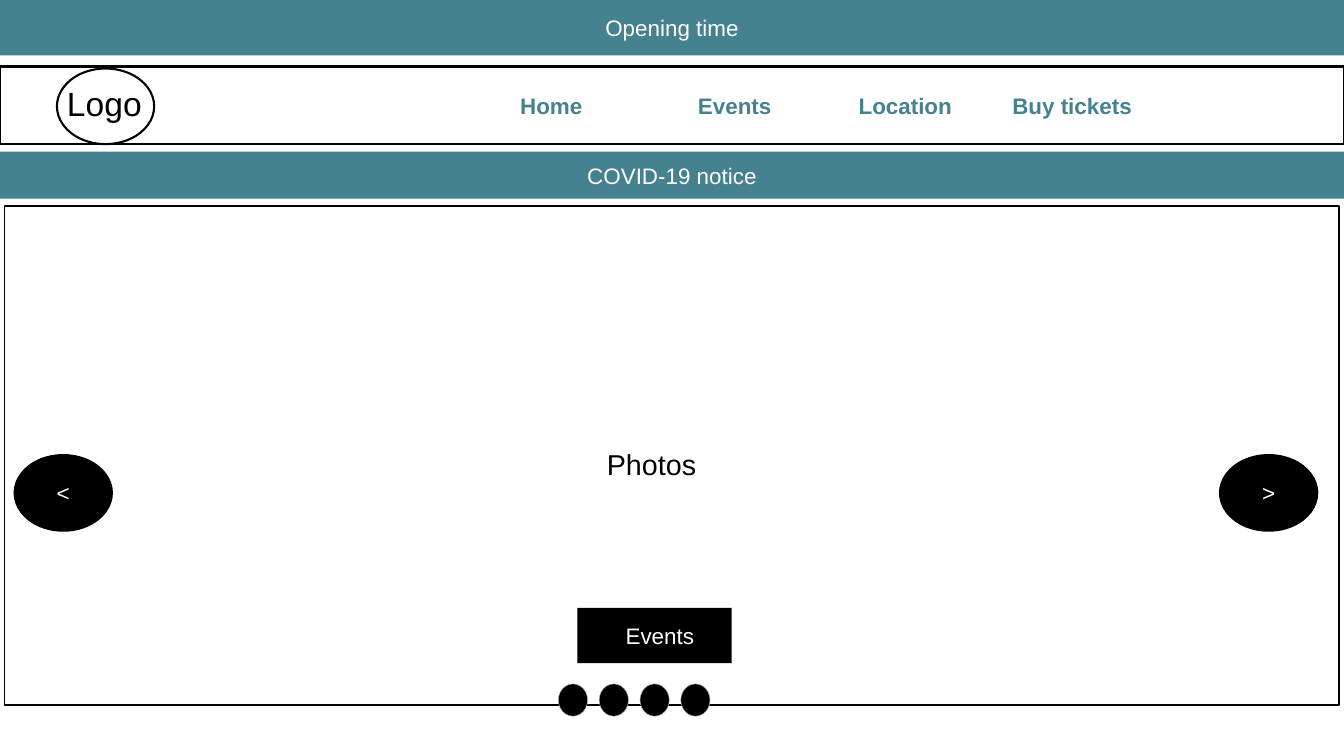
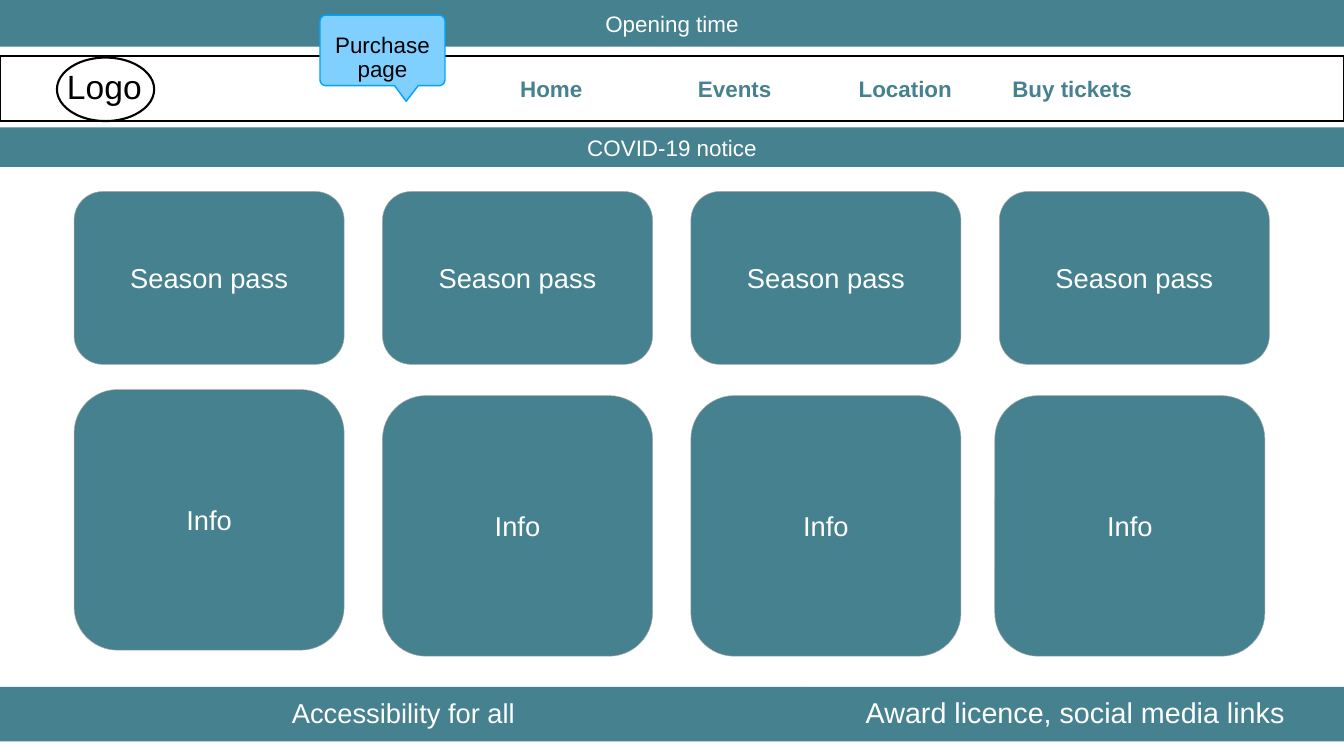
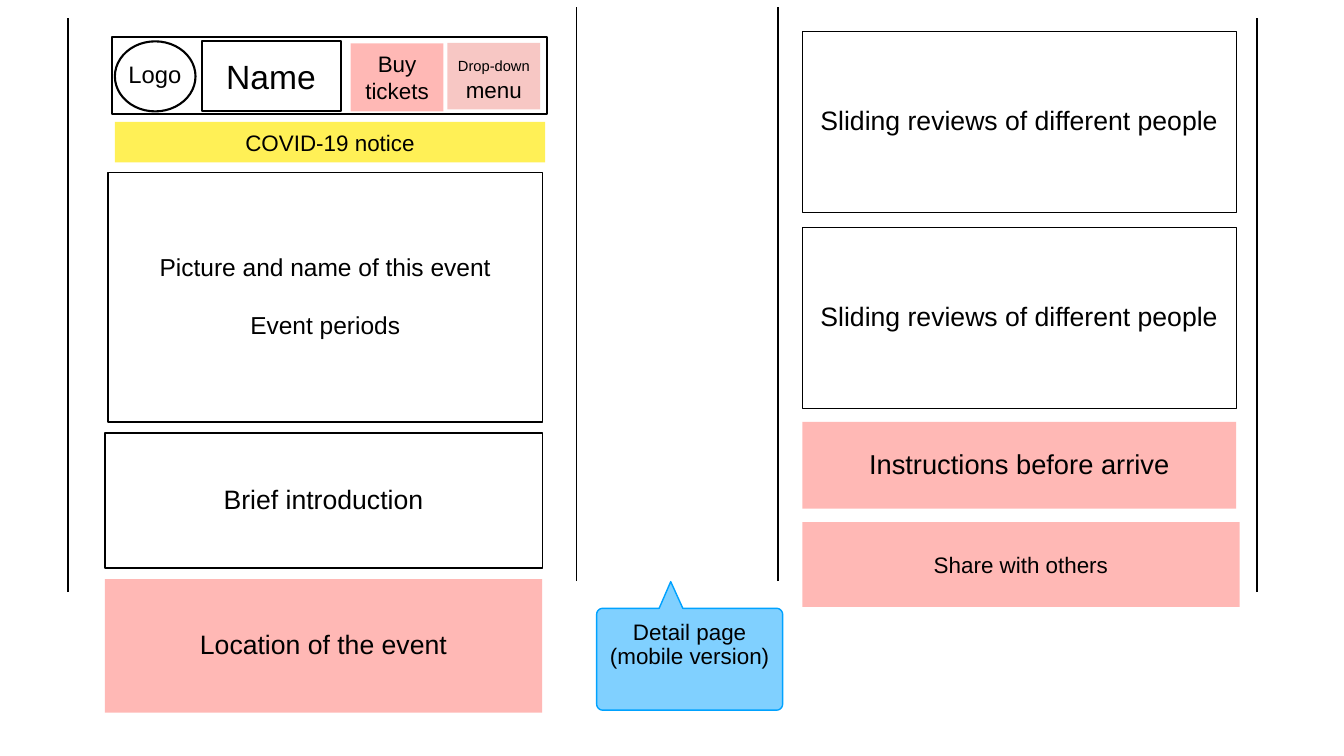
from dataclasses import dataclass
from math import cos, pi, sin

from lxml.etree import SubElement
from pptx import Presentation
from pptx.dml.color import RGBColor
from pptx.enum.shapes import MSO_CONNECTOR as Connector, MSO_SHAPE as Preset
from pptx.enum.text import MSO_ANCHOR as Anchor, PP_ALIGN as Align
from pptx.oxml.ns import qn
from pptx.shapes.autoshape import Shape
from pptx.slide import Slide
from pptx.text.text import TextFrame
from pptx.util import Inches, Pt


@dataclass(frozen=True)
class Theme:
    font: str = "Arial"
    black: str = "000000"
    white: str = "FFFFFF"
    teal: str = "45818E"
    grey: str = "A7A7A7"
    coral: str = "FF7E79"
    rose: str = "EF837E"
    yellow: str = "FFF056"
    sky: str = "80D0FF"
    blue: str = "00A2FF"
    tiny: float = 21
    body: float = 32
    small_logo: float = 34
    event: float = 35
    panel: float = 38
    card: float = 39
    large: float = 41
    logo: float = 48


THEME = Theme()
WIDTH, HEIGHT = 26.67, 15
Run = tuple[str, float]


@dataclass(frozen=True)
class Block:
    left: float
    top: float
    width: float
    height: float
    text: str = ""
    size: float = THEME.body
    color: str = THEME.black
    fill: str | None = None
    alpha: int = 100
    line: str | None = None
    weight: float = 2
    preset: Preset = Preset.RECTANGLE
    bold: bool = False
    spacing: float = 1.0


@dataclass(frozen=True)
class Callout:
    left: float
    top: float
    width: float
    height: float
    tail: tuple[tuple[float, float], ...]
    tail_below: bool


def write(frame: TextFrame, *paragraphs: str | list[Run], size: float = THEME.body,
          color: str = THEME.black, bold: bool = False, align: Align = Align.CENTER,
          spacing: float = 1.0, gap: float = 0, inset: float = 0.06) -> None:
    """Fill a frame; a paragraph is a string or a list of (text, size) runs."""
    frame.word_wrap = True
    frame.vertical_anchor = Anchor.MIDDLE
    frame.margin_left = frame.margin_right = Inches(inset)
    frame.margin_top = frame.margin_bottom = Inches(inset)
    for index, content in enumerate(paragraphs):
        paragraph = frame.add_paragraph() if index else frame.paragraphs[0]
        paragraph.alignment = align
        paragraph.line_spacing = spacing
        paragraph.space_before = Pt(gap if index else 0)
        for words, points in [(content, size)] if isinstance(content, str) else content:
            run = paragraph.add_run()
            run.text = words
            run.font.name = THEME.font
            run.font.size = Pt(points)
            run.font.bold = bold
            run.font.color.rgb = RGBColor.from_string(color)


def paint(shape: Shape, fill: str | None, line: str | None,
          weight: float = 2, alpha: int = 100) -> None:
    shape.shadow.inherit = False
    if fill:
        shape.fill.solid()
        shape.fill.fore_color.rgb = RGBColor.from_string(fill)
        if alpha < 100:
            tint = shape.fill._xPr.find(qn("a:solidFill"))[0]
            SubElement(tint, qn("a:alpha")).set("val", str(alpha * 1000))
    else:
        shape.fill.background()
    if line:
        shape.line.color.rgb = RGBColor.from_string(line)
        shape.line.width = Pt(weight)
    else:
        shape.line.fill.background()


def draw(slide: Slide, block: Block) -> Shape:
    shape = slide.shapes.add_shape(block.preset, Inches(block.left), Inches(block.top),
                                   Inches(block.width), Inches(block.height))
    paint(shape, block.fill, block.line, block.weight, block.alpha)
    if block.text:
        write(shape.text_frame, block.text, size=block.size, color=block.color,
              bold=block.bold, spacing=block.spacing)
    return shape


def label(slide: Slide, left: float, top: float, width: float, height: float,
          text: str, **style) -> None:
    box = slide.shapes.add_textbox(Inches(left), Inches(top), Inches(width), Inches(height))
    write(box.text_frame, text, **style)


def draw_callout(slide: Slide, callout: Callout, radius: float = 0.12) -> None:
    """Rounded box whose tail leaves its lower or upper edge."""
    right, bottom = callout.left + callout.width, callout.top + callout.height
    corners = [(right - radius, callout.top + radius, -pi / 2),
               (right - radius, bottom - radius, 0),
               (callout.left + radius, bottom - radius, pi / 2),
               (callout.left + radius, callout.top + radius, pi)]
    outline = []
    for index, (x, y, start) in enumerate(corners):
        angles = [start + step * pi / 12 for step in range(7)]
        outline += [(x + radius * cos(a), y + radius * sin(a)) for a in angles]
        if index == (1 if callout.tail_below else 3):
            outline += callout.tail
    points = [(Inches(x), Inches(y)) for x, y in outline]
    builder = slide.shapes.build_freeform(*points[0])
    builder.add_line_segments(points[1:], close=True)
    paint(builder.convert_to_shape(), THEME.sky, THEME.blue)


def draw_rule(slide: Slide, x: float, top: float, length: float = 11.39) -> None:
    rule = slide.shapes.add_connector(Connector.STRAIGHT, Inches(x), Inches(top + length),
                                      Inches(x), Inches(top))
    rule.line.color.rgb = RGBColor.from_string(THEME.black)
    rule.line.width = Pt(2)
    SubElement(rule._element.spPr, qn("a:effectLst"))


def band(left: float, top: float, width: float, height: float, text: str,
         size: float = THEME.body, spacing: float = 1.0) -> Block:
    return Block(left, top, width, height, text, size, THEME.white, THEME.teal,
                 spacing=spacing)


def draw_header(slide: Slide, scale: float = 1) -> None:
    """Opening band, navigation bar and notice, with heights scaled together."""
    draw(slide, Block(0, 1.32 * scale, WIDTH, 1.53 * scale, line=THEME.black, weight=3))
    draw(slide, Block(1.13, 1.36 * scale, 1.93, 1.5 * scale, line=THEME.black, weight=3,
                      preset=Preset.OVAL))
    label(slide, 1.27, 1.65 * scale, 1.64, 0.88 * scale, "Logo", size=THEME.logo,
          align=Align.LEFT, spacing=0.9)
    draw(slide, band(0, 3.01 * scale, WIDTH, 0.93 * scale, "COVID-19 notice"))
    for left, width, page in [(9.41, 3.06, "Home"), (13.05, 3.06, "Events"),
                              (16.65, 2.63, "Location"), (19.81, 2.93, "Buy tickets")]:
        draw(slide, Block(left, 1.54 * scale, width, 1.1 * scale, page,
                          color=THEME.teal, fill=THEME.white, bold=True))
    draw(slide, band(0, 0, WIDTH, 1.1 * scale, "Opening time"))


def build_home(slide: Slide) -> None:
    draw_header(slide)
    label(slide, 0.58, 8.25, 24.7, 2.01, "Photos", size=THEME.large, spacing=0.9)
    draw(slide, Block(11.46, 12.06, 3.06, 1.1, fill=THEME.black))
    label(slide, 11.78, 12.29, 2.63, 0.64, "Events", color=THEME.white)
    for left, arrow in [(0.29, "<"), (24.21, ">")]:
        draw(slide, Block(left, 9.03, 1.93, 1.5, arrow, color=THEME.white,
                          fill=THEME.black, line=THEME.black, weight=3, preset=Preset.OVAL))
    draw(slide, Block(0.09, 4.09, 26.48, 9.9, line=THEME.black))
    for dot in range(4):
        draw(slide, Block(11.08 + 0.81 * dot, 13.57, 0.58, 0.64, fill=THEME.black,
                          line=THEME.grey, weight=0.75, preset=Preset.OVAL))


def build_purchase(slide: Slide) -> None:
    draw_header(slide, scale=0.84)
    draw_callout(slide, Callout(6.35, 0.3, 2.48, 1.4,
                                ((8.3, 1.7), (8.06, 2.01), (7.83, 1.7)), True))
    label(slide, 6.35, 0.7, 2.48, 0.92, "Purchase page", spacing=0.9)
    draw(slide, band(0, 13.63, 16.01, 1.08, "Accessibility for all", THEME.card, 0.9))
    draw(slide, band(16.01, 13.63, 10.66, 1.08, "Award licence, social media links",
                     THEME.large, 0.9))
    columns = [1.47 + 6.12 * column for column in range(4)]
    passes = [(left, 3.8, 3.43, "Season pass") for left in columns]
    details = [(left, top, 5.17, "Info")
               for left, top in zip(columns[:3] + [19.74], [7.73, 7.85, 7.85, 7.85])]
    for left, top, height, text in passes + details:
        draw(slide, Block(left, top, 5.36, height, text, THEME.card, THEME.white,
                          THEME.teal, line=THEME.grey, weight=0.75,
                          preset=Preset.ROUNDED_RECTANGLE))


def build_mobile(slide: Slide) -> None:
    event = draw(slide, Block(2.14, 3.42, 8.63, 4.95, line=THEME.black))
    write(event.text_frame, "Picture and name of this event", "Event periods",
          size=THEME.event, spacing=0.9, gap=45)
    coral = {"fill": THEME.coral, "alpha": 55}
    outlined = {"line": THEME.black, "spacing": 0.9}
    reviews = [Block(15.92, top, 8.61, 3.59, "Sliding reviews of different people",
                     THEME.panel, weight=1, **outlined) for top in (0.63, 4.51)]
    for panel in [
        Block(15.92, 8.37, 8.61, 1.72, "Instructions before arrive", THEME.card,
              spacing=0.9, **coral),
        Block(15.92, 10.36, 8.68, 1.68, "Share with others", **coral),
        *reviews,
        Block(2.08, 8.59, 8.68, 2.68, "Brief introduction", THEME.panel, **outlined),
        Block(2.08, 11.49, 8.68, 2.65, "Location of the event", THEME.panel,
              spacing=0.9, **coral),
        Block(2.23, 0.73, 8.63, 1.53, line=THEME.black, weight=3),
        Block(2.28, 0.82, 1.6, 1.39, line=THEME.black, weight=3, preset=Preset.OVAL),
        Block(4, 0.81, 2.76, 1.39, line=THEME.black, weight=3),
        Block(2.28, 2.42, 8.54, 0.8, "COVID-19 notice", fill=THEME.yellow),
        Block(6.96, 0.86, 1.84, 1.35, "Buy tickets", **coral),
    ]:
        draw(slide, panel)
    menu = draw(slide, Block(8.88, 0.85, 1.84, 1.32, fill=THEME.rose, alpha=45))
    write(menu.text_frame, [("Drop-down", THEME.tiny), (" menu", THEME.body)])
    label(slide, 2.49, 1.17, 1.64, 0.65, "Logo", size=THEME.small_logo,
          align=Align.LEFT, spacing=0.9)
    label(slide, 4.43, 1.12, 2.2, 0.88, "Name", size=THEME.logo,
          align=Align.LEFT, spacing=0.9)
    for x, top in [(11.44, 0.14), (15.44, 0.14), (24.94, 0.36), (1.35, 0.36)]:
        draw_rule(slide, x, top)
    draw_callout(slide, Callout(11.84, 12.07, 3.69, 2.02,
                                ((13.08, 12.07), (13.31, 11.54), (13.55, 12.07)), False))
    label(slide, 11.84, 12.26, 3.69, 1.1, "Detail page (mobile version)", spacing=0.9)


def main() -> None:
    deck = Presentation()
    deck.slide_width, deck.slide_height = Inches(WIDTH), Inches(HEIGHT)
    blank = deck.slide_layouts[6]
    for build in (build_home, build_purchase, build_mobile):
        build(deck.slides.add_slide(blank))
    deck.save("out.pptx")


if __name__ == "__main__":
    main()
